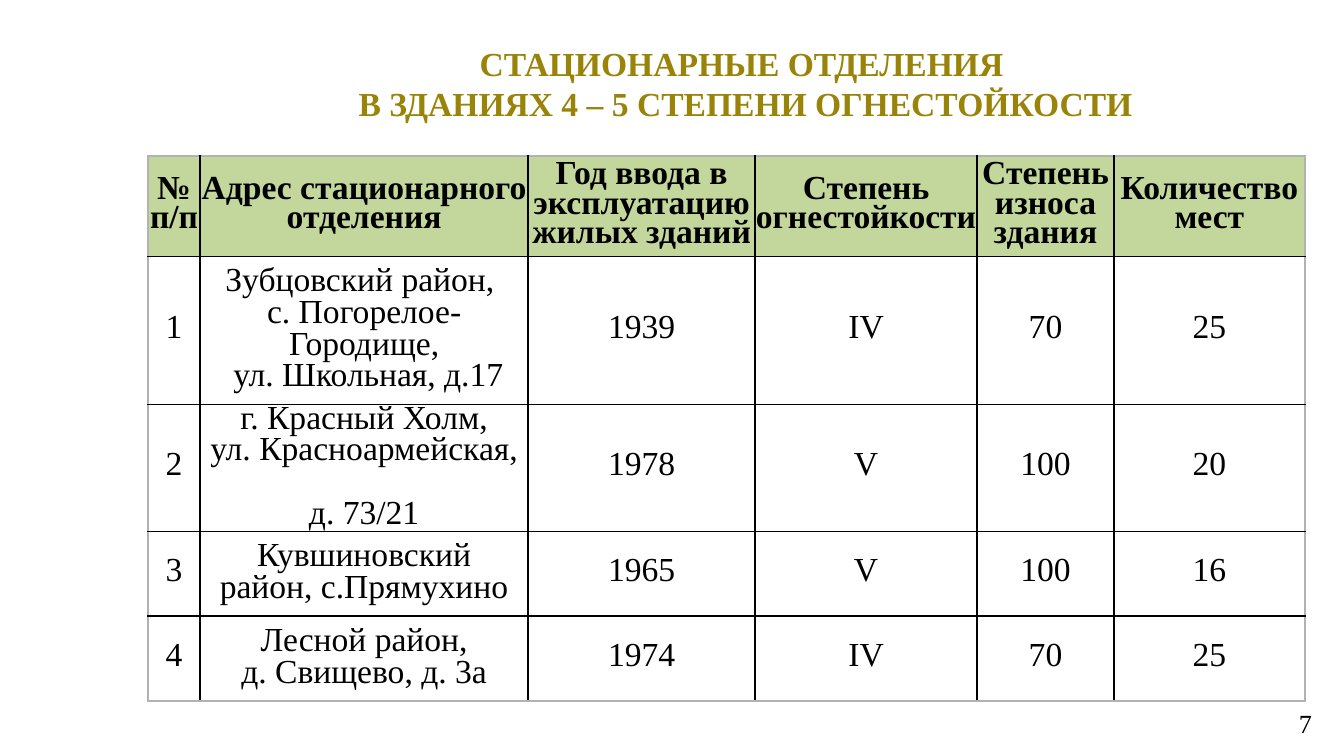
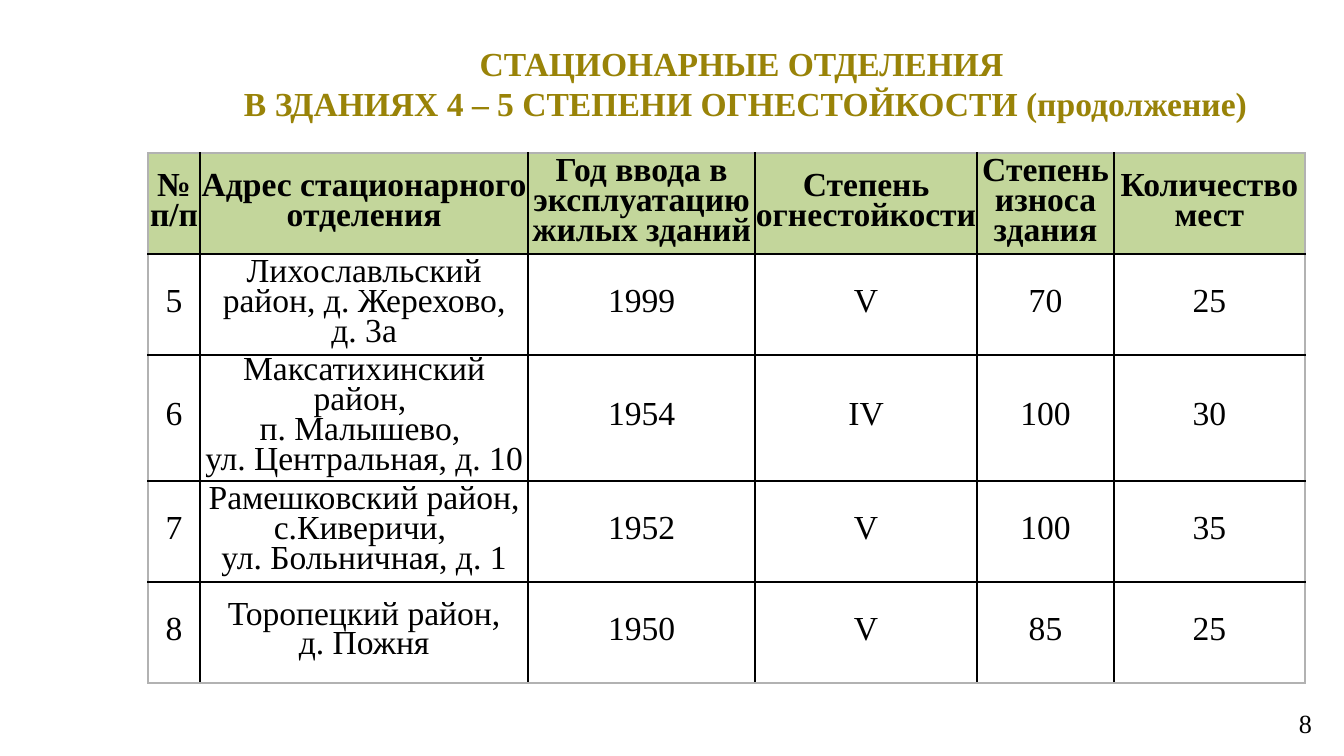
from dataclasses import dataclass

from lxml.etree import SubElement
from pptx import Presentation
from pptx.dml.color import RGBColor
from pptx.enum.text import MSO_ANCHOR, MSO_AUTO_SIZE, PP_ALIGN
from pptx.oxml.ns import qn
from pptx.util import Inches, Pt

FONT = "Times New Roman"
GOLD, BLACK, GREEN, GREY = "998308", "000000", "C3D69B", "B2B2B2"
SLIDE_WIDTH = Inches(10)
SLIDE_HEIGHT = SLIDE_WIDTH * 9 // 16
TABLE_LEFT = 1.1
COLUMN_WIDTHS = (0.39, 2.44, 1.69, 1.65, 1.02, 1.42)
HEADERS = (
    "№ п/п",
    "Адрес стационарного отделения",
    "Год ввода в эксплуатацию жилых зданий",
    "Степень огнестойкости",
    "Степень износа здания",
    "Количество мест",
)
TITLE = "СТАЦИОНАРНЫЕ ОТДЕЛЕНИЯ \nВ ЗДАНИЯХ 4 – 5 СТЕПЕНИ ОГНЕСТОЙКОСТИ"


@dataclass(frozen=True)
class Department:
    number: int
    address: str
    year: int
    fire_grade: str
    wear: int
    places: int
    height: float
    address_inset: float = 0.06

    def values(self) -> tuple:
        return (self.number, self.address, self.year, self.fire_grade, self.wear, self.places)


@dataclass(frozen=True)
class DepartmentPage:
    number: int
    title: str
    table_top: float
    address_spacing: int
    departments: tuple[Department, ...]


PAGES = (
    DepartmentPage(7, TITLE, 1.16, 17, (
        Department(1, "Зубцовский район, \nс. Погорелое-Городище,\n ул. Школьная, д.17",
                   1939, "IV", 70, 25, 1.1),
        Department(2, "г. Красный Холм,\nул. Красноармейская, \vд. 73/21",
                   1978, "V", 100, 20, 0.83),
        Department(3, "Кувшиновский район, с.Прямухино", 1965, "V", 100, 16, 0.63),
        Department(4, "Лесной район,\nд. Свищево, д. 3а", 1974, "IV", 70, 25, 0.63),
    )),
    DepartmentPage(8, TITLE + " (продолжение)", 1.14, 16, (
        Department(5, "Лихославльский район, д. Жерехово, д. 3а", 1999, "V", 70, 25, 0.75),
        Department(6, "Максатихинский район, \nп. Малышево, \nул. Центральная, д. 10",
                   1954, "IV", 100, 30, 0.94, address_inset=0),
        Department(7, "Рамешковский район, с.Киверичи, \nул. Больничная, д. 1",
                   1952, "V", 100, 35, 0.75),
        Department(8, "Торопецкий район,\nд. Пожня", 1950, "V", 85, 25, 0.75),
    )),
)


def color(value: str) -> RGBColor:
    return RGBColor.from_string(value)


def set_attributes(target, values: dict) -> None:
    for name, value in values.items():
        setattr(target, name, value)


def write(frame, text: str, size: int = 18, bold: bool = False, ink: str = BLACK,
          align=PP_ALIGN.CENTER, spacing=None) -> None:
    """Fill a text frame, one paragraph for each line of the text."""
    frame.text = text
    for para in frame.paragraphs:
        set_attributes(para, {"alignment": align, "line_spacing": spacing})
        for span in para.runs:
            set_attributes(span.font, {"name": FONT, "size": Pt(size), "bold": bold})
            span.font.color.rgb = color(ink)


def add_title(page, text: str) -> None:
    box = page.shapes.add_textbox(Inches(1.1), Inches(0.28), Inches(8.9), Inches(0.68))
    set_attributes(box.text_frame, {
        "word_wrap": True, "auto_size": MSO_AUTO_SIZE.SHAPE_TO_FIT_TEXT,
        "margin_left": Inches(0.07), "margin_right": Inches(0.07),
        "margin_top": Inches(0.04), "margin_bottom": Inches(0.04),
    })
    write(box.text_frame, text, bold=True, ink=GOLD)


def add_page_number(page, number: int) -> None:
    box = page.shapes.add_textbox(Inches(6.65), Inches(5.18), Inches(3.21), Inches(0.4))
    set_attributes(box.text_frame, {"word_wrap": True, "vertical_anchor": MSO_ANCHOR.MIDDLE})
    write(box.text_frame, str(number), size=14, align=PP_ALIGN.RIGHT)


def add_borders(cell, row: int, column: int, last_row: int) -> None:
    """Draw black inner lines and a grey outer frame."""
    outer_sides = {
        "L": column == 0,
        "R": column == len(COLUMN_WIDTHS) - 1,
        "T": row == 0,
        "B": row == last_row,
    }
    properties = cell._tc.get_or_add_tcPr()
    for side, is_outer in outer_sides.items():
        line = SubElement(properties, qn(f"a:ln{side}"), w=str(Pt(1)))
        fill = SubElement(line, qn("a:solidFill"))
        SubElement(fill, qn("a:srgbClr"), val=GREY if is_outer else BLACK)


def add_department_table(page, content: DepartmentPage) -> None:
    departments = content.departments
    heights = (0.75, *(department.height for department in departments))
    rows = (HEADERS, *(department.values() for department in departments))
    frame = page.shapes.add_table(
        len(rows), len(HEADERS), Inches(TABLE_LEFT), Inches(content.table_top),
        Inches(sum(COLUMN_WIDTHS)), Inches(sum(heights)))
    table = frame.table
    table.horz_banding = False
    for column, width in zip(table.columns, COLUMN_WIDTHS):
        column.width = Inches(width)
    for row, height in zip(table.rows, heights):
        row.height = Inches(height)

    for row, values in enumerate(rows):
        is_header = row == 0
        for column, value in enumerate(values):
            is_address = column == 1 and not is_header
            inset = 0 if is_header else 0.06
            if is_address:
                inset = departments[row - 1].address_inset
            cell = table.cell(row, column)
            set_attributes(cell, {
                "vertical_anchor": MSO_ANCHOR.MIDDLE,
                "margin_left": Inches(inset), "margin_right": Inches(inset),
                "margin_top": 0, "margin_bottom": 0,
            })
            add_borders(cell, row, column, len(departments))
            if is_header:
                cell.fill.solid()
                cell.fill.fore_color.rgb = color(GREEN)
            else:
                cell.fill.background()
            spacing = content.address_spacing if is_address else 16
            write(cell.text_frame, str(value), bold=is_header, spacing=Pt(spacing))


def main() -> None:
    deck = Presentation()
    set_attributes(deck, {"slide_width": SLIDE_WIDTH, "slide_height": SLIDE_HEIGHT})
    for content in PAGES:
        page = deck.slides.add_slide(deck.slide_layouts[6])
        add_page_number(page, content.number)
        add_title(page, content.title)
        add_department_table(page, content)
    deck.save("out.pptx")


if __name__ == "__main__":
    main()
